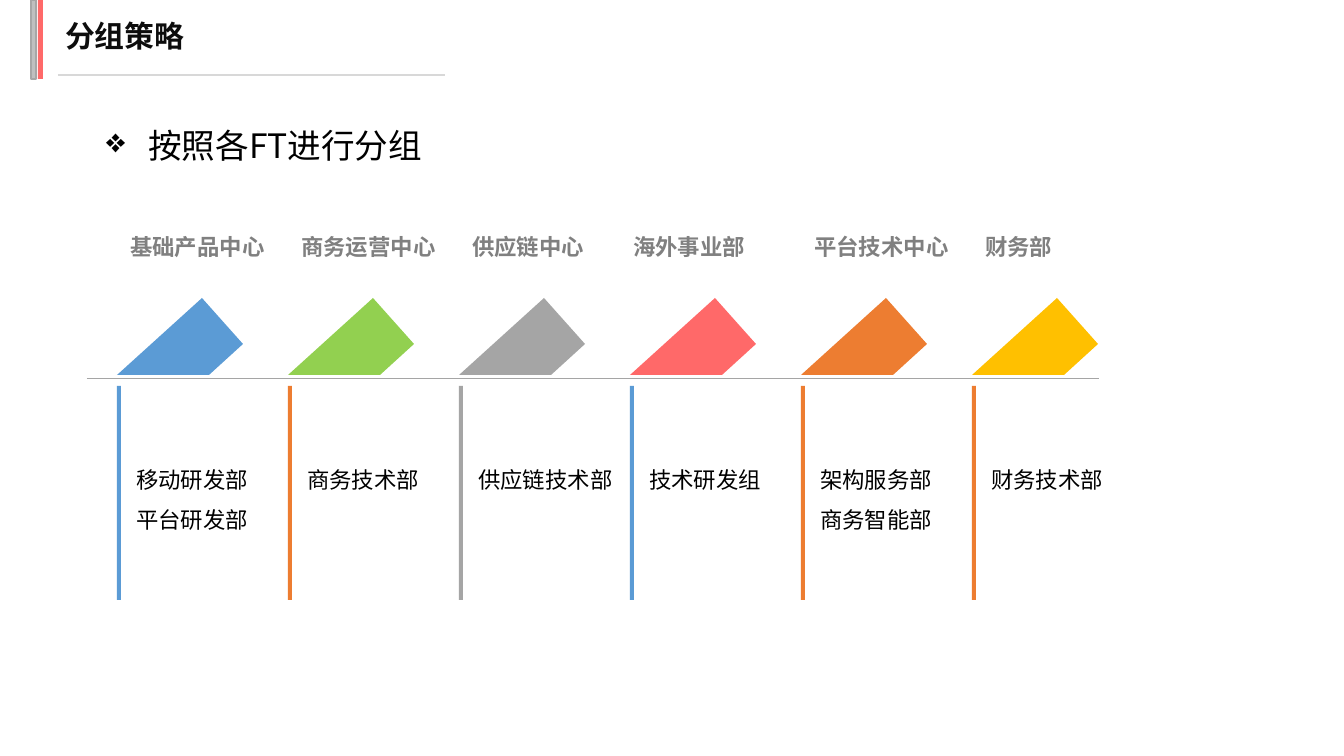
import pptx
import pptx.dml.color
import pptx.enum.shapes
import pptx.enum.text
import pptx.oxml.ns
import pptx.util
import lxml.etree

RGB = pptx.dml.color.RGBColor
ANCHOR = pptx.enum.text.MSO_ANCHOR
FONT = "Noto Sans CJK SC"
BLACK = RGB(0x00, 0x00, 0x00)
INK = RGB(0x0D, 0x0D, 0x0D)
LABEL_GRAY = RGB(0x80, 0x80, 0x80)
BAR_GRAY = RGB(0xBF, 0xBF, 0xBF)
BAR_EDGE = RGB(0xA6, 0xA6, 0xA6)
RULE_GRAY = RGB(0xD8, 0xD8, 0xD8)
GRAY = RGB(0xA5, 0xA5, 0xA5)
RED = RGB(0xFF, 0x69, 0x69)
BLUE = RGB(0x5B, 0x9B, 0xD5)
GREEN = RGB(0x92, 0xD0, 0x50)
ORANGE = RGB(0xED, 0x7D, 0x31)
YELLOW = RGB(0xFF, 0xC0, 0x00)

FIRST_LEFT, PITCH = 117, 171
LINE_HEIGHT, INSET = 40, 7
FLAG = [(85, 298), (126, 344), (92, 375), (0, 375)]
GROUPS = [
    ("基础产品中心", 0, BLUE, BLUE, ["移动研发部", "平台研发部"]),
    ("商务运营中心", 0, GREEN, ORANGE, ["商务技术部"]),
    ("供应链中心", 0, GRAY, GRAY, ["供应链技术部"]),
    ("海外事业部", -10, RED, BLUE, ["技术研发组"]),
    ("平台技术中心", 0, ORANGE, ORANGE, ["架构服务部", "商务智能部"]),
    ("财务部", 0, YELLOW, ORANGE, ["财务技术部"]),
]


def px(count):
    """Turn pixels into EMU."""
    return pptx.util.Emu(round(count * 914400 / 134.4))


def paint(shape, fill, edge=None):
    """Give a shape a flat fill and an optional thin edge."""
    shape.shadow.inherit = False
    shape.fill.solid()
    shape.fill.fore_color.rgb = fill
    if edge is None:
        shape.line.fill.background()
    else:
        shape.line.color.rgb = edge
        shape.line.width = pptx.util.Pt(0.75)


def add_bar(page, left, top, width, height, fill, edge=None):
    """Add a plain rectangle."""
    kind = pptx.enum.shapes.MSO_SHAPE.RECTANGLE
    bar = page.shapes.add_shape(kind, px(left), px(top), px(width), px(height))
    paint(bar, fill, edge)


def add_rule(page, left, right, top, color, weight):
    """Add a horizontal line."""
    kind = pptx.enum.shapes.MSO_CONNECTOR.STRAIGHT
    rule = page.shapes.add_connector(kind, px(left), px(top), px(right), px(top))
    rule.line.color.rgb = color
    rule.line.width = pptx.util.Pt(weight)
    properties = rule._element.spPr
    lxml.etree.SubElement(properties, pptx.oxml.ns.qn("a:effectLst"))


def add_flag(page, left, fill):
    """Add the slanted four-sided marker of a group."""
    points = [(px(left + x), px(y)) for x, y in FLAG]
    builder = page.shapes.build_freeform(*points[0])
    builder.add_line_segments(points[1:], close=True)
    paint(builder.convert_to_shape(), fill)


def add_text(page, left, top, width, height, lines, size, color, bold=False, spacing=None):
    """Add a wrapping text box with one paragraph per line and return it."""
    box = page.shapes.add_textbox(px(left), px(top), px(width), px(height))
    frame = box.text_frame
    frame.word_wrap = True
    for index, line in enumerate(lines):
        para = frame.add_paragraph() if index else frame.paragraphs[0]
        para.line_spacing = spacing
        span = para.add_run()
        span.text = line
        span.font.size = pptx.util.Pt(size)
        span.font.bold = bold
        span.font.color.rgb = color
        span.font.name = FONT
        east_asian = lxml.etree.SubElement(span.font._element, pptx.oxml.ns.qn("a:ea"))
        east_asian.set("typeface", FONT)
    return box


def add_bullet(para, symbol, indent):
    """Put a hanging bullet before a paragraph."""
    properties = para._p.get_or_add_pPr()
    properties.set("marL", str(px(indent)))
    properties.set("indent", str(-px(indent)))
    bullet = lxml.etree.SubElement(properties, pptx.oxml.ns.qn("a:buChar"))
    bullet.set("char", symbol)


def add_header(page):
    """Add the title with its bars and underline."""
    add_bar(page, 31, 0, 5, 79, BAR_GRAY, BAR_EDGE)
    add_bar(page, 38, 0, 5, 79, RED)
    add_text(page, 52, 11, 426, 50, ["分组策略"], 16, INK, bold=True)
    add_rule(page, 58, 445, 75, RULE_GRAY, 0.75)


def add_group(page, left, label, shift, flag_color, bar_color, teams):
    """Add one group: label, marker, bar and team names."""
    add_text(page, left + shift, 227, PITCH, 40, [label], 12, LABEL_GRAY, bold=True)
    add_flag(page, left, flag_color)
    add_bar(page, left, 386, 4, 214, bar_color)
    width = 5 + 27 * max(map(len, teams))
    box = add_text(page, left + 6, 386, width, 214, teams, 12, BLACK, spacing=1.5)
    box.text_frame.vertical_anchor = ANCHOR.MIDDLE
    box.text_frame.margin_bottom = px(INSET + LINE_HEIGHT * (2 - len(teams)))


def main():
    """Build and save the slide."""
    deck = pptx.Presentation()
    deck.slide_width, deck.slide_height = px(1344), px(756)
    page = deck.slides.add_slide(deck.slide_layouts[6])
    add_header(page)
    topic = add_text(page, 93, 118, 681, 54, ["按照各FT进行分组"], 18, BLACK)
    add_bullet(topic.text_frame.paragraphs[0], "❖", 42)
    add_rule(page, 87, 1099, 379, GRAY, 0.5)
    for index, group in enumerate(GROUPS):
        add_group(page, FIRST_LEFT + PITCH * index, *group)
    deck.save("out.pptx")


if __name__ == "__main__":
    main()
